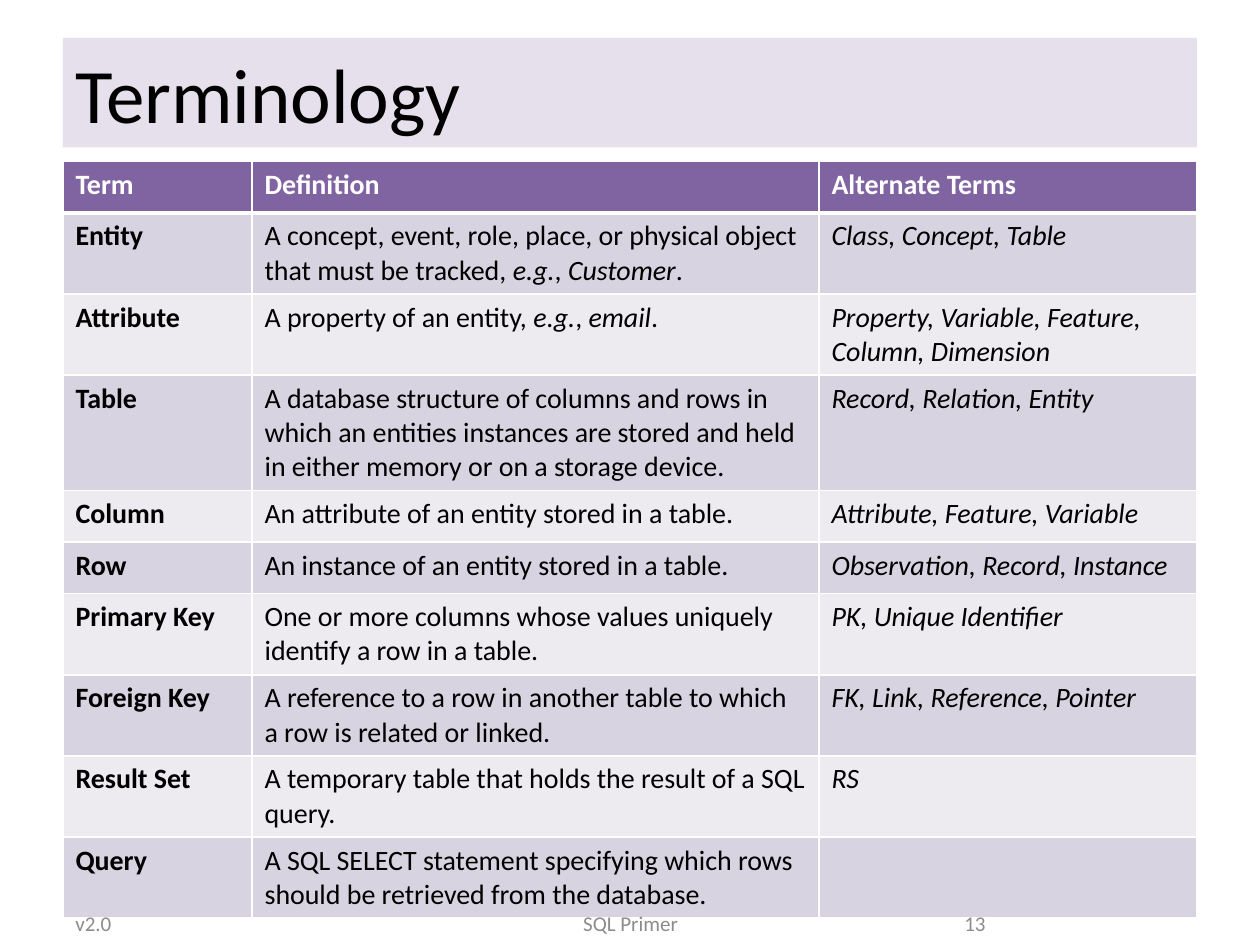
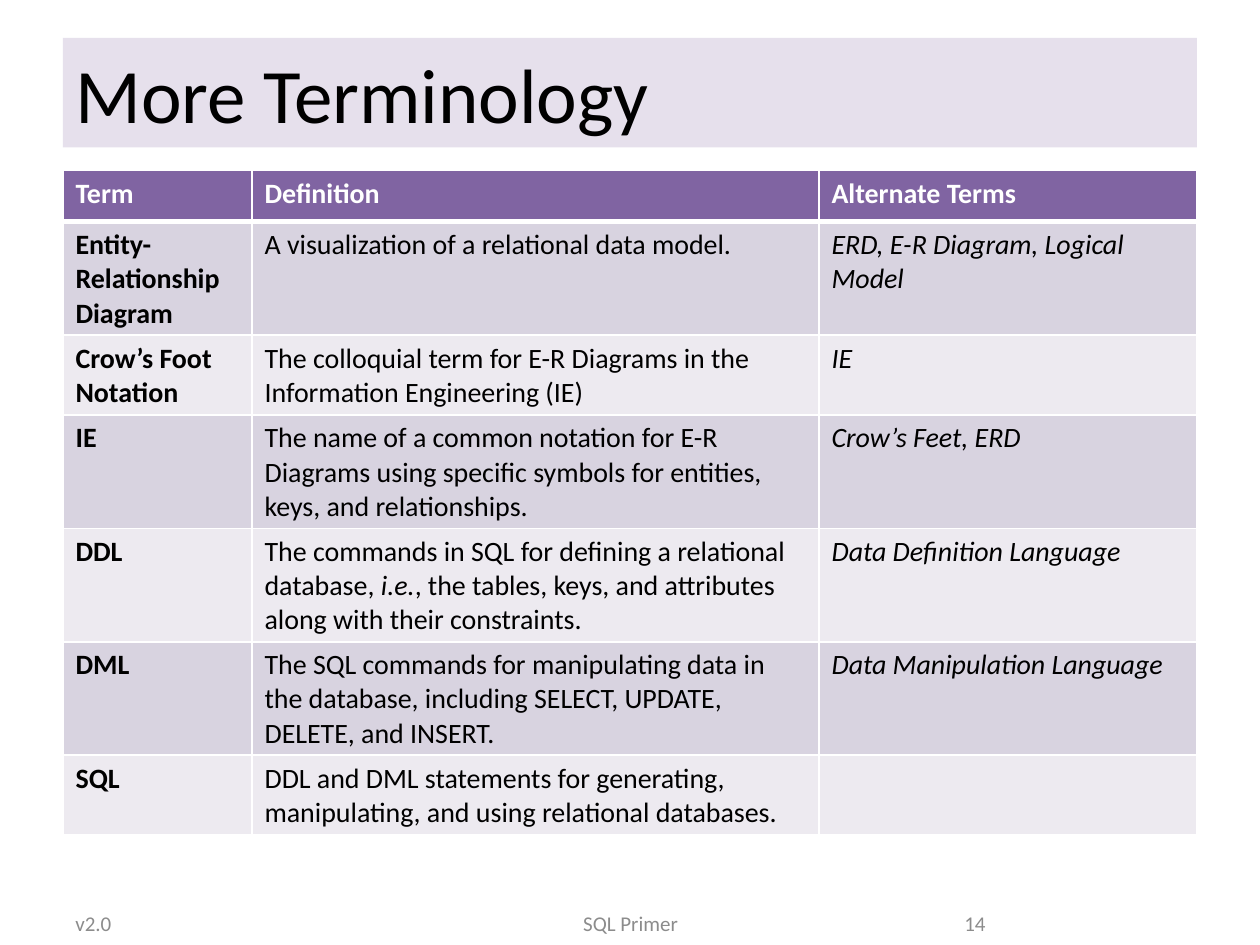
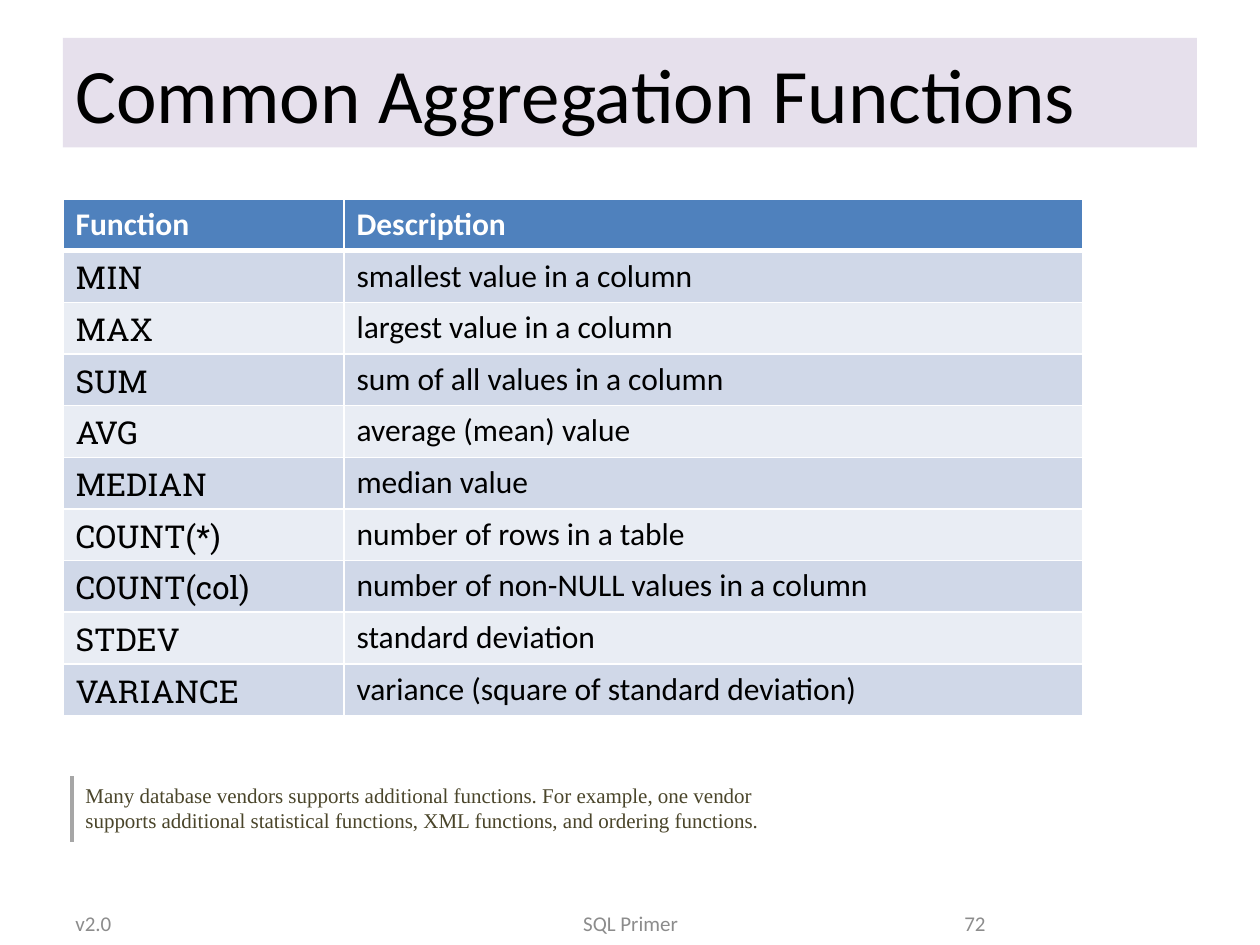
from lxml import etree
from pptx import Presentation
from pptx.dml.color import RGBColor
from pptx.enum import shapes, text
from pptx.oxml import ns
from pptx.util import Inches, Pt

COLORS = {
    "white": "FFFFFF", "black": "000000", "band": "E6E0EC", "footer": "8C8C8C",
    "note": "4A452A", "rule": "A6A6A6",
    "purple": "8064A2", "purple_dark": "D8D3E0", "purple_light": "EDEAF0",
    "blue": "4F81BD", "blue_dark": "D0D8E8", "blue_light": "E9EDF4",
}
LEFT = 0.5
ROW_H = 0.41
ALIGN = text.PP_ALIGN

# Footer fields: left, width, alignment
FOOTERS = [(0.5, 2.33, ALIGN.LEFT), (3.42, 3.17, ALIGN.CENTER), (7.17, 0.75, ALIGN.RIGHT)]

# Underscores enclose italic words
TERMS_HEAD = ("Term", "Definition", "Alternate Terms")
TERMS = [
    TERMS_HEAD,
    ("Entity", "A concept, event, role, place, or physical object that must be tracked, _e.g._, _Customer_.",
     "_Class, Concept, Table_"),
    ("Attribute", "A property of an entity, _e.g._, _email_.",
     "_Property, Variable, Feature, Column, Dimension_"),
    ("Table", "A database structure of columns and rows in which an entities instances are stored "
     "and held in either memory or on a storage device.", "_Record, Relation, Entity_"),
    ("Column", "An attribute of an entity stored in a table.", "_Attribute, Feature, Variable_"),
    ("Row", "An instance of an entity stored in a table.", "_Observation, Record, Instance_"),
    ("Primary Key", "One or more columns whose values uniquely identify a row in a table.",
     "_PK, Unique Identifier_"),
    ("Foreign Key", "A reference to a row in another table to which a row is related or linked.",
     "_FK, Link, Reference, Pointer_"),
    ("Result Set", "A temporary table that holds the result of a SQL query.", "_RS_"),
    ("Query", "A SQL SELECT statement specifying which rows should be retrieved from the database.", ""),
]
MORE_TERMS = [
    TERMS_HEAD,
    ("Entity-Relationship Diagram", "A visualization of a relational data model.",
     "_ERD, E-R Diagram, Logical Model_"),
    ("Crow’s Foot Notation", "The colloquial term for E-R Diagrams in the Information Engineering (IE)", "_IE_"),
    ("IE", "The name of a common notation for E-R Diagrams using specific symbols for entities, "
     "keys, and relationships.", "_Crow’s Feet, ERD_"),
    ("DDL", "The commands in SQL for defining a relational database, _i.e._, the tables, keys, "
     "and attributes along with their constraints.", "_Data Definition Language_"),
    ("DML", "The SQL commands for manipulating data in the database, including SELECT, UPDATE, "
     "DELETE, and INSERT.", "_Data Manipulation Language_"),
    ("SQL", "DDL and DML statements for generating, manipulating, and using relational databases.", ""),
]
FUNCTIONS = [
    ("Function", "Description"),
    ("MIN", "smallest value in a column"),
    ("MAX", "largest value in a column"),
    ("SUM", "sum of all values in a column"),
    ("AVG", "average (mean) value"),
    ("MEDIAN", "median value"),
    ("COUNT(*)", "number of rows in a table"),
    ("COUNT(col)", "number of non-NULL values in a column"),
    ("STDEV", "standard deviation"),
    ("VARIANCE", "variance (square of standard deviation)"),
]
TERM_COLS = (1.5, 4.5, 3)
TERM_STYLE = dict(hue="purple", size=16, key=dict(bold=True))
FUNCTION_STYLE = dict(hue="blue", size=18, key=dict(font="Roboto Slab"))

# Slides: title, number, table top, column widths, rows, table style
SLIDES = [
    ("Terminology", 13, 1.28, TERM_COLS, TERMS, TERM_STYLE),
    ("More Terminology", 14, 1.35, TERM_COLS, MORE_TERMS, TERM_STYLE),
    ("Common Aggregation Functions", 72, 1.58, (2.23, 5.86), FUNCTIONS, FUNCTION_STYLE),
]


def write(tf, words, size=12, color="black", font="Calibri", bold=False,
          align=ALIGN.LEFT, anchor=text.MSO_ANCHOR.MIDDLE):
    tf.word_wrap = True
    tf.vertical_anchor = anchor
    p = tf.paragraphs[0]
    p.alignment = align
    for i, part in enumerate(words.split("_")):
        if part:
            r = p.add_run()
            r.text = part
            r.font.size = Pt(size)
            r.font.name = font
            r.font.bold = bold
            r.font.italic = i % 2 == 1
            r.font.color.rgb = RGBColor.from_string(COLORS[color])


def format_cell(cell, fill, **borders):
    tc_pr = cell._tc.get_or_add_tcPr()
    for side in "LRTB":
        ln = etree.SubElement(tc_pr, ns.qn("a:ln" + side), w=str(Pt(borders.get(side, 1))))
        solid = etree.SubElement(ln, ns.qn("a:solidFill"))
        etree.SubElement(solid, ns.qn("a:srgbClr"), val=COLORS["white"])
    cell.fill.solid()
    cell.fill.fore_color.rgb = RGBColor.from_string(COLORS[fill])


prs = Presentation()
prs.slide_width, prs.slide_height = Inches(10), Inches(7.5)

for title, number, top, widths, rows, style in SLIDES:
    s = prs.slides.add_slide(prs.slide_layouts[6])

    # Title band
    sp = s.shapes.add_shape(shapes.MSO_SHAPE.RECTANGLE, Inches(LEFT), Inches(0.3), Inches(9), Inches(0.87))
    sp.shadow.inherit = False
    sp.fill.solid()
    sp.fill.fore_color.rgb = RGBColor.from_string(COLORS["band"])
    sp.line.fill.background()
    write(sp.text_frame, title, size=44)

    # Table
    table = s.shapes.add_table(len(rows), len(widths), Inches(LEFT), Inches(top),
                               Inches(sum(widths)), Inches(ROW_H * len(rows))).table
    table.horz_banding = False
    for col, width in zip(table.columns, widths):
        col.width = Inches(width)
    for i, row in enumerate(rows):
        table.rows[i].height = Inches(ROW_H)
        for j, words in enumerate(row):
            cell = table.cell(i, j)
            hue = style["hue"]
            if i == 0:
                format_cell(cell, hue, B=3)
                fmt = dict(color="white", bold=True)
            else:
                format_cell(cell, hue + ("_dark" if i % 2 else "_light"), T=3 if i == 1 else 1)
                fmt = style["key"] if j == 0 else {}
            write(cell.text_frame, words, size=style["size"], anchor=text.MSO_ANCHOR.TOP, **fmt)

    # Footer
    for (left, width, align), words in zip(FOOTERS, ("v2.0", "SQL Primer", str(number))):
        sp = s.shapes.add_textbox(Inches(left), Inches(7.17), Inches(width), Inches(0.31))
        write(sp.text_frame, words, color="footer", align=align)

# Side note on the functions slide
sp = s.shapes.add_textbox(Inches(0.58), Inches(6.16), Inches(6), Inches(0.5))
write(sp.text_frame, "Many database vendors supports additional functions. For example, one vendor supports "
      "additional statistical functions, XML functions, and ordering functions.",
      color="note", font="Times New Roman", anchor=text.MSO_ANCHOR.TOP)
sp.text_frame.auto_size = text.MSO_AUTO_SIZE.SHAPE_TO_FIT_TEXT
rule = s.shapes.add_connector(shapes.MSO_CONNECTOR.STRAIGHT, Inches(0.57), Inches(6.16), Inches(0.57), Inches(6.68))
rule.line.color.rgb = RGBColor.from_string(COLORS["rule"])
rule.line.width = Pt(2.5)
etree.SubElement(rule._element.spPr, ns.qn("a:effectLst"))

prs.save("out.pptx")
